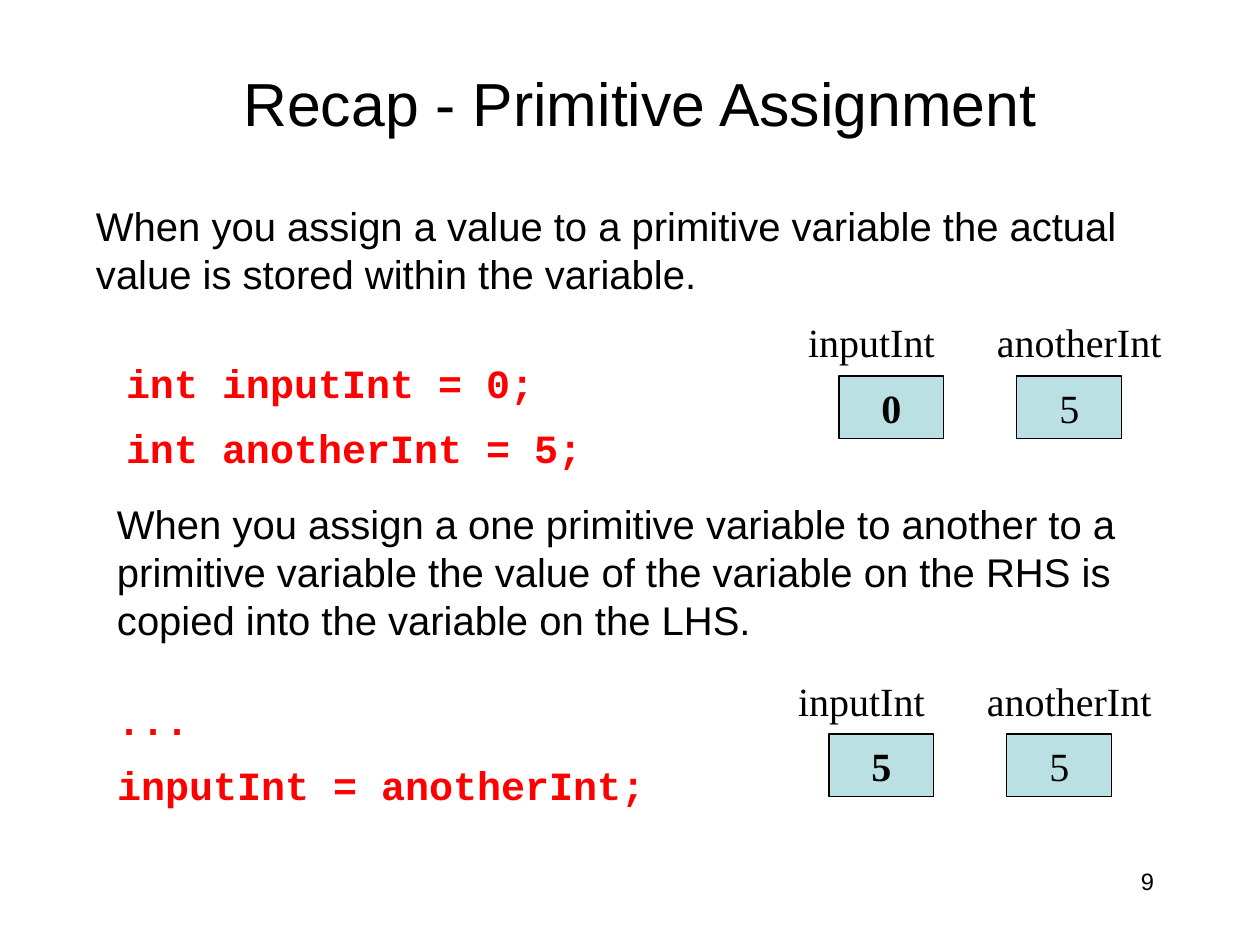
from pptx import Presentation
from pptx.dml.color import RGBColor
from pptx.enum.shapes import MSO_SHAPE
from pptx.enum.text import MSO_ANCHOR as ANCHOR, PP_ALIGN as ALIGN
from pptx.util import Emu, Pt

SCALE = 8570  # EMU per px
COLORS = {"text": "000000", "code": "FF0000", "box": "BBE0E3", "line": "000000"}
SANS, MONO, SERIF = "Arial", "Courier New", "Times New Roman"


def px(n):
    return Emu(n * SCALE)


def color(name):
    return RGBColor.from_string(COLORS[name])


def write(sp, lines, font, size=27, fill="text", bold=False, align=ALIGN.LEFT,
          anchor=ANCHOR.TOP, inset=(11, 5), spacing=None, wrap=True):
    """Put one paragraph per line into a shape."""
    tf = sp.text_frame
    tf.word_wrap = wrap
    tf.vertical_anchor = anchor
    tf.margin_left = tf.margin_right = px(inset[0])
    tf.margin_top = tf.margin_bottom = px(inset[1])
    for i, line in enumerate(lines):
        p = tf.add_paragraph() if i else tf.paragraphs[0]
        p.text = line
        p.alignment = align
        if spacing:
            p.line_spacing = spacing
        p.font.name, p.font.size, p.font.bold = font, Pt(size), bold
        p.font.color.rgb = color(fill)


def add_text(shapes, x, y, w, h, lines, font, **style):
    sp = shapes.add_textbox(px(x), px(y), px(w), px(h))
    write(sp, lines, font, **style)


def add_body(shapes, x, y, h, text):
    add_text(shapes, x, y, 1092, h, [text], SANS, inset=(12, 6))


def add_code(shapes, x, y, w, lines):
    add_text(shapes, x, y, w, 137, lines, MONO, fill="code", bold=True,
             inset=(12, 6), spacing=1.35)


def add_value_box(shapes, x, y, value, bold):
    sp = shapes.add_shape(MSO_SHAPE.RECTANGLE, px(x), px(y), px(105), px(63))
    sp.shadow.inherit = False
    sp.fill.solid()
    sp.fill.fore_color.rgb = color("box")
    sp.line.color.rgb = color("line")
    sp.line.width = Pt(0.75)
    write(sp, [value], SERIF, bold=bold, align=ALIGN.CENTER,
          anchor=ANCHOR.MIDDLE, wrap=False)


def add_variables(shapes, x, y, input_value, another_value):
    """Group the two named variables with their value boxes."""
    group = shapes.add_group_shape().shapes
    add_value_box(group, x + 42, y + 63, input_value, True)
    add_value_box(group, x + 220, y + 63, another_value, False)
    add_text(group, x, y, 168, 60, ["inputInt"], SERIF)
    add_text(group, x + 189, y, 232, 60, ["anotherInt"], SERIF)


def main():
    prs = Presentation()
    prs.slide_width, prs.slide_height = px(1260), px(945)
    s = prs.slides.add_slide(prs.slide_layouts[6])
    shapes = s.shapes

    # Title
    add_text(shapes, 105, 55, 1071, 95, ["Recap - Primitive Assignment"], SANS,
             size=41, align=ALIGN.CENTER, anchor=ANCHOR.MIDDLE, inset=(12, 6))

    # Assigning a value
    add_body(shapes, 84, 195, 109,
             "When you assign a value to a primitive variable the actual value "
             "is stored within the variable.")
    add_code(shapes, 114, 336, 662, ["int inputInt = 0;", "int anotherInt = 5;"])
    add_variables(shapes, 797, 313, "0", "5")

    # Assigning one variable to another
    add_body(shapes, 105, 493, 158,
             "When you assign a one primitive variable to another to a primitive "
             "variable the value of the variable on the RHS is copied into the "
             "variable on the LHS.")
    add_code(shapes, 105, 673, 683, ["...", "inputInt = anotherInt;"])
    add_variables(shapes, 787, 671, "5", "5")

    # Slide number
    add_text(shapes, 904, 861, 262, 63, ["9"], SANS, size=16,
             align=ALIGN.RIGHT, inset=(12, 6))

    prs.save("out.pptx")


if __name__ == "__main__":
    main()
